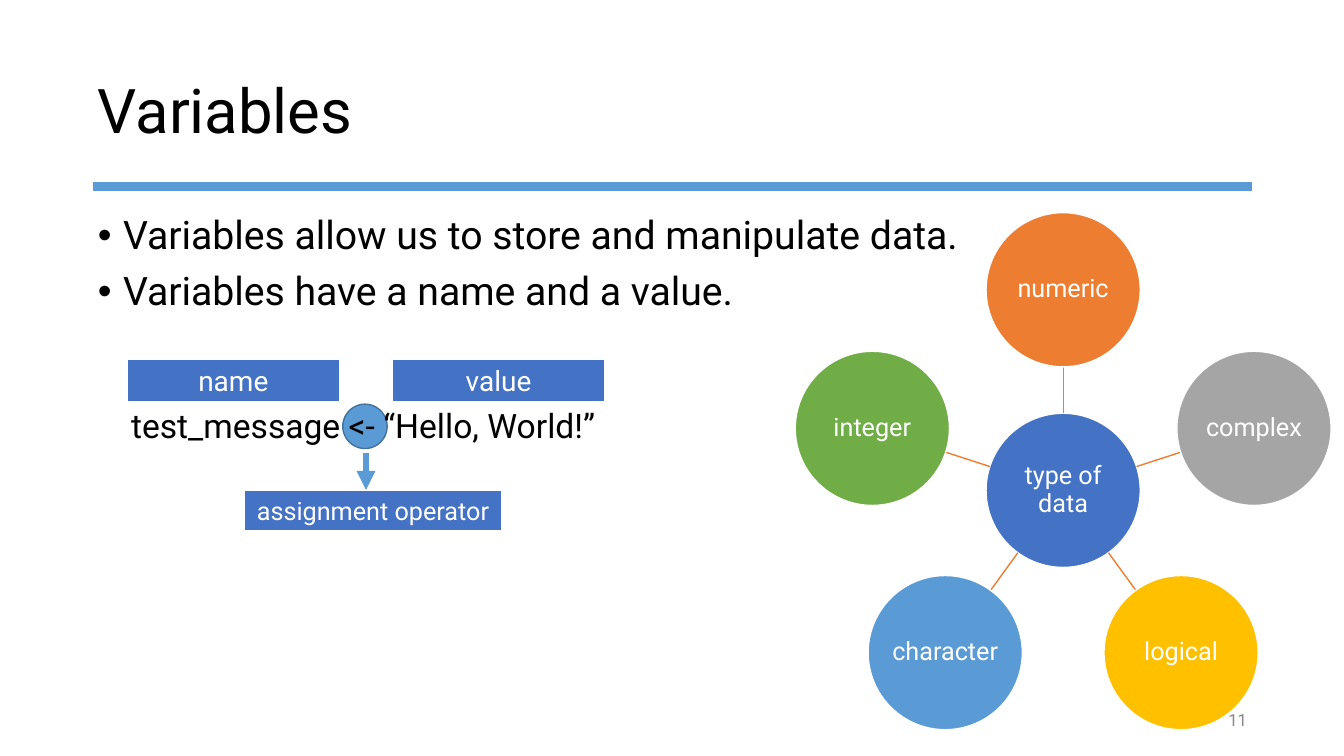
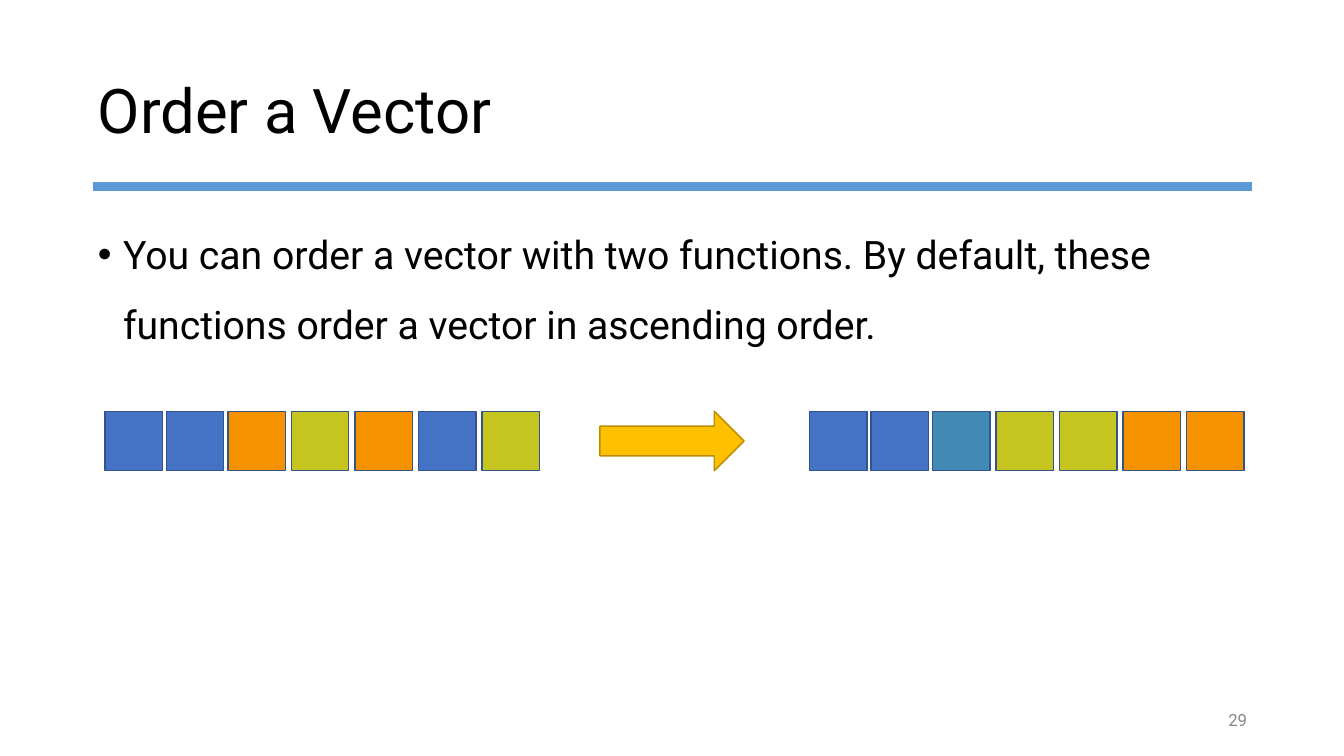
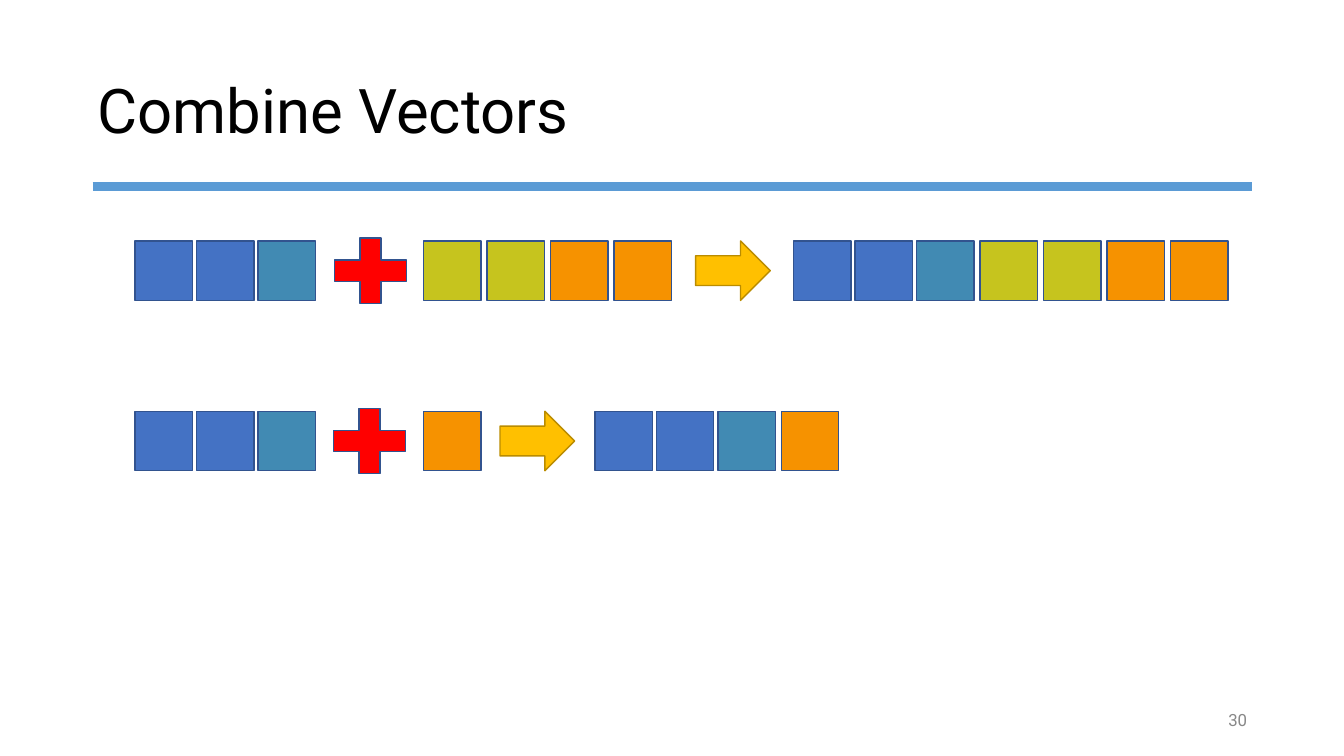
from math import cos, radians, sin

from lxml.etree import SubElement
from pptx import Presentation
from pptx.dml.color import RGBColor
from pptx.enum.shapes import MSO_CONNECTOR, MSO_SHAPE
from pptx.enum.text import MSO_ANCHOR, MSO_AUTO_SIZE, PP_ALIGN
from pptx.oxml.ns import qn
from pptx.util import Pt

EMU_PER_PX = 9144
FONT = "Roboto"
BLACK = RGBColor(0x00, 0x00, 0x00)
WHITE = RGBColor(0xFF, 0xFF, 0xFF)
GRAY = RGBColor(0xA5, 0xA5, 0xA5)
NUMBER_GRAY = RGBColor(0x88, 0x88, 0x88)
BLUE = RGBColor(0x44, 0x72, 0xC4)
SKY = RGBColor(0x5B, 0x9B, 0xD5)
SKY_EDGE = RGBColor(0x42, 0x71, 0x9B)
CELL_EDGE = RGBColor(0x32, 0x53, 0x8F)
TEAL = RGBColor(0x41, 0x8A, 0xB3)
LIME = RGBColor(0xC6, 0xC4, 0x1E)
AMBER = RGBColor(0xF6, 0x92, 0x00)
ORANGE = RGBColor(0xED, 0x7D, 0x31)
GREEN = RGBColor(0x70, 0xAD, 0x47)
GOLD = RGBColor(0xFF, 0xC0, 0x00)
GOLD_EDGE = RGBColor(0xBA, 0x8C, 0x00)
RED = RGBColor(0xFF, 0x00, 0x00)

TITLE_LAYOUT, BODY_LAYOUT = 5, 1
CELL_WIDTH, CELL_HEIGHT, CELL_PITCH = 57, 59, 63
PLUS_WIDTH, PLUS_HEIGHT, PLUS_INSET_X, PLUS_INSET_Y = 71, 65, 25, 22


def px(*lengths):
    return [round(length * EMU_PER_PX) for length in lengths]


def write(shape, lines, size, color=WHITE, align=PP_ALIGN.CENTER,
          anchor=MSO_ANCHOR.TOP, inset=5, spacing=1.0, wrap=True):
    frame = shape.text_frame
    frame.auto_size = MSO_AUTO_SIZE.NONE
    frame.word_wrap = wrap
    frame.vertical_anchor = anchor
    (margin,) = px(inset)
    frame.margin_left = frame.margin_right = margin
    frame.margin_top = frame.margin_bottom = margin
    for index, line in enumerate(lines):
        paragraph = frame.add_paragraph() if index else frame.paragraphs[0]
        paragraph.alignment = align
        paragraph.line_spacing = spacing
        paragraph.space_before = Pt(10 if index else 0)
        run = paragraph.add_run()
        run.text = line
        run.font.name = FONT
        run.font.size = Pt(size)
        run.font.color.rgb = color


def paint(shape, fill, edge, width=1):
    shape.shadow.inherit = False
    shape.fill.solid()
    shape.fill.fore_color.rgb = fill
    shape.line.color.rgb = edge
    shape.line.width = Pt(width)
    return shape


def add_box(slide, kind, box, fill, edge, width=1):
    return paint(slide.shapes.add_shape(kind, *px(*box)), fill, edge, width)


def add_line(slide, ends, color, width, arrow=False):
    line = slide.shapes.add_connector(MSO_CONNECTOR.STRAIGHT, *px(*ends))
    line.line.color.rgb = color
    line.line.width = Pt(width)
    properties = line._element.spPr
    if arrow:
        SubElement(properties.get_or_add_ln(), qn("a:tailEnd"), type="triangle")
    SubElement(properties, qn("a:effectLst"))


def place(shape, box):
    shape.left, shape.top, shape.width, shape.height = px(*box)


def add_slide(presentation, layout, title, number):
    slide = presentation.slides.add_slide(presentation.slide_layouts[layout])
    place(slide.shapes.title, (92, 40, 1150, 145))
    write(slide.shapes.title, [title], 44, BLACK, PP_ALIGN.LEFT, MSO_ANCHOR.MIDDLE, spacing=0.9)
    add_line(slide, (92, 185, 1242, 185), SKY, 6)
    number_box = slide.shapes.add_textbox(*px(1212, 700, 30, 29))
    write(number_box, [str(number)], 12, NUMBER_GRAY, PP_ALIGN.RIGHT, MSO_ANCHOR.MIDDLE, wrap=False)
    return slide


def fill_body(slide, top, lines, spacing):
    body = slide.placeholders[1]
    place(body, (92, top, 1150, 476))
    write(body, lines, 28, BLACK, PP_ALIGN.LEFT, spacing=spacing)
    (indent,) = px(25)
    for paragraph in body.text_frame.paragraphs:
        properties = paragraph._p.get_or_add_pPr()
        properties.set("marL", str(indent))
        properties.set("indent", str(-indent))


def add_assignment(slide, left, top):
    add_box(slide, MSO_SHAPE.OVAL, (left + 215, top + 45, 44, 44), SKY, SKY_EDGE)
    code = slide.shapes.add_textbox(*px(left, top + 41, 522, 48))
    write(code, ["test_message <- “Hello, World!”"], 24, BLACK, PP_ALIGN.LEFT)
    for text, x, y, width, height, size in (
        ("name", 1, 0, 211, 43, 20),
        ("value", 264, 0, 211, 43, 20),
        ("assignment operator", 117, 130, 256, 41, 18),
    ):
        label = add_box(slide, MSO_SHAPE.RECTANGLE, (left + x, top + y, width, height), BLUE, WHITE, 1.5)
        write(label, [text], size)
    add_line(slide, (left + 238, top + 93, left + 238, top + 130), SKY, 4.5, arrow=True)


def add_wheel(slide, left, top, hub, spokes):
    diameter, reach = 153, 199
    radius = diameter / 2
    center_x, center_y = left + 265.5, top + radius + reach

    def add_circle(text, x, y, color):
        circle = add_box(slide, MSO_SHAPE.OVAL, (x - radius, y - radius, diameter, diameter), color, WHITE)
        write(circle, [text], 18, anchor=MSO_ANCHOR.MIDDLE, inset=1, spacing=0.9)

    add_circle(hub, center_x, center_y, BLUE)
    for index, (text, color) in enumerate(spokes):
        angle = radians(360 / len(spokes) * index - 90)
        ends = [(center_x + distance * cos(angle), center_y + distance * sin(angle))
                for distance in (radius, reach - radius, reach)]
        add_line(slide, (*ends[0], *ends[1]), ORANGE, 1)
        add_circle(text, *ends[2], color)


def add_vector(slide, left, top, colors, tight_gaps=2):
    for index, color in enumerate(colors):
        x = left + CELL_PITCH * index - 2 * min(index, tight_gaps)
        add_box(slide, MSO_SHAPE.RECTANGLE, (x, top, CELL_WIDTH, CELL_HEIGHT), color, CELL_EDGE)


def add_arrow(slide, left, top, width):
    add_box(slide, MSO_SHAPE.RIGHT_ARROW, (left, top, width, CELL_HEIGHT), GOLD, GOLD_EDGE)


def add_plus(slide, left, top):
    x0, x1, x2, x3 = (left + x for x in (0, PLUS_INSET_X, PLUS_WIDTH - PLUS_INSET_X, PLUS_WIDTH))
    y0, y1, y2, y3 = (top + y for y in (0, PLUS_INSET_Y, PLUS_HEIGHT - PLUS_INSET_Y, PLUS_HEIGHT))
    outline = slide.shapes.build_freeform(x0, y1, EMU_PER_PX)
    outline.add_line_segments([
        (x1, y1), (x1, y0), (x2, y0), (x2, y1), (x3, y1), (x3, y2),
        (x2, y2), (x2, y3), (x1, y3), (x1, y2), (x0, y2),
    ])
    paint(outline.convert_to_shape(), RED, CELL_EDGE)


def add_combination(slide, top, first, second, plus_left, arrow_left, result_left):
    add_vector(slide, 134, top, first)
    add_plus(slide, plus_left, top - 3)
    add_vector(slide, 420, top, second, tight_gaps=0)
    add_arrow(slide, arrow_left, top, 74)
    add_vector(slide, result_left, top, first + second)


def build_variables(presentation):
    slide = add_slide(presentation, BODY_LAYOUT, "Variables", 11)
    fill_body(slide, 209, [
        "Variables allow us to store and manipulate data.",
        "Variables have a name and a value.",
    ], 0.9)
    add_assignment(slide, 125, 356)
    add_wheel(slide, 789, 211, "type of data", [
        ("numeric", ORANGE), ("complex", GRAY), ("logical", GOLD),
        ("character", SKY), ("integer", GREEN),
    ])


def build_order(presentation):
    slide = add_slide(presentation, BODY_LAYOUT, "Order a Vector", 29)
    fill_body(slide, 200, [
        "You can order a vector with two functions. By default, these "
        "functions order a vector in ascending order.",
    ], 1.5)
    add_vector(slide, 104, 408, [BLUE, BLUE, AMBER, LIME, AMBER, BLUE, LIME])
    add_vector(slide, 803, 408, [BLUE, BLUE, TEAL, LIME, LIME, AMBER, AMBER])
    add_arrow(slide, 595, 408, 143)


def build_combine(presentation):
    slide = add_slide(presentation, TITLE_LAYOUT, "Combine Vectors", 30)
    first = [BLUE, BLUE, TEAL]
    add_combination(slide, 239, first, [LIME, LIME, AMBER, AMBER], 332, 690, 787)
    add_combination(slide, 408, first, [AMBER], 331, 496, 590)


def main():
    presentation = Presentation()
    presentation.slide_width, presentation.slide_height = px(1333, 750)
    build_variables(presentation)
    build_order(presentation)
    build_combine(presentation)
    presentation.save("out.pptx")


if __name__ == "__main__":
    main()
